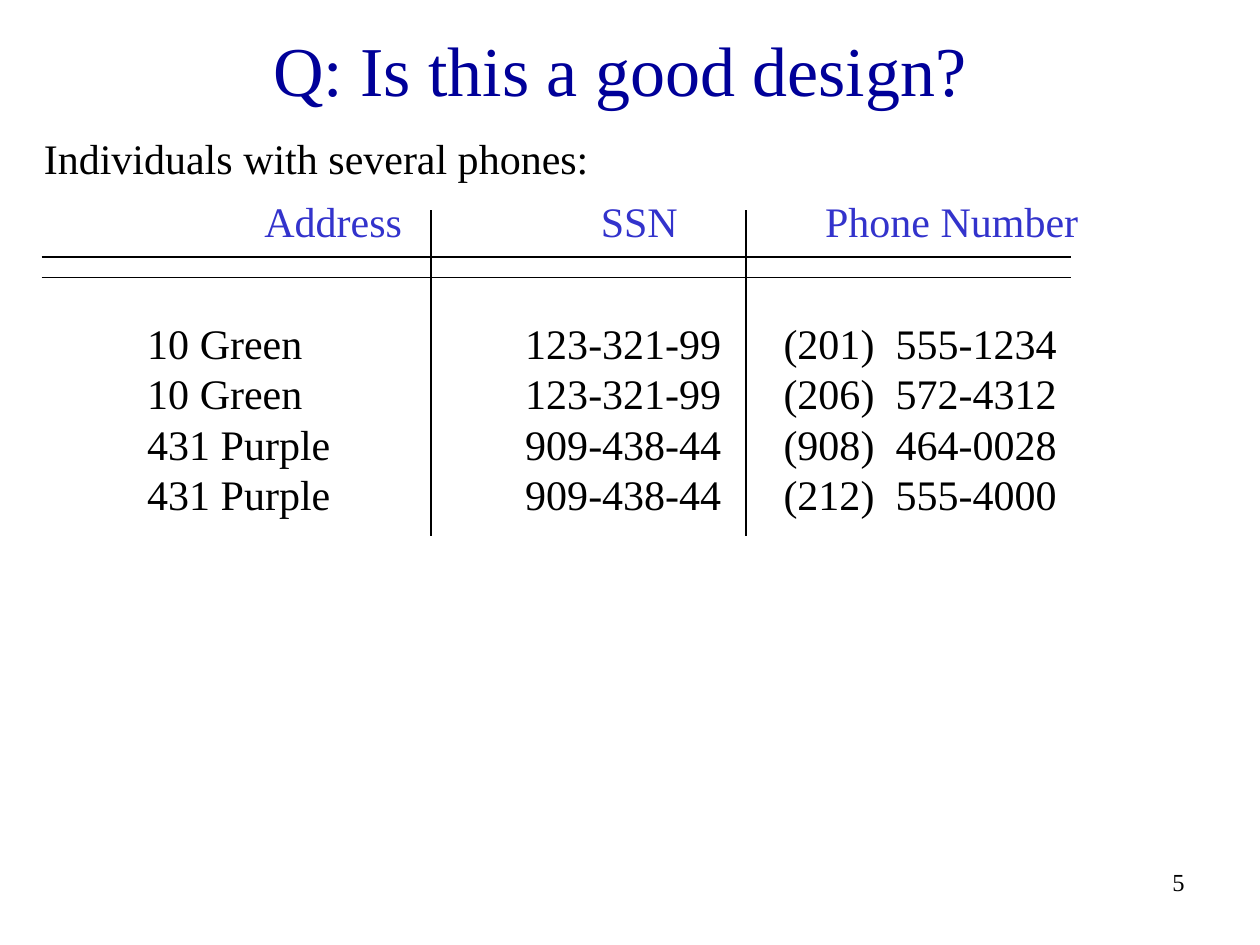
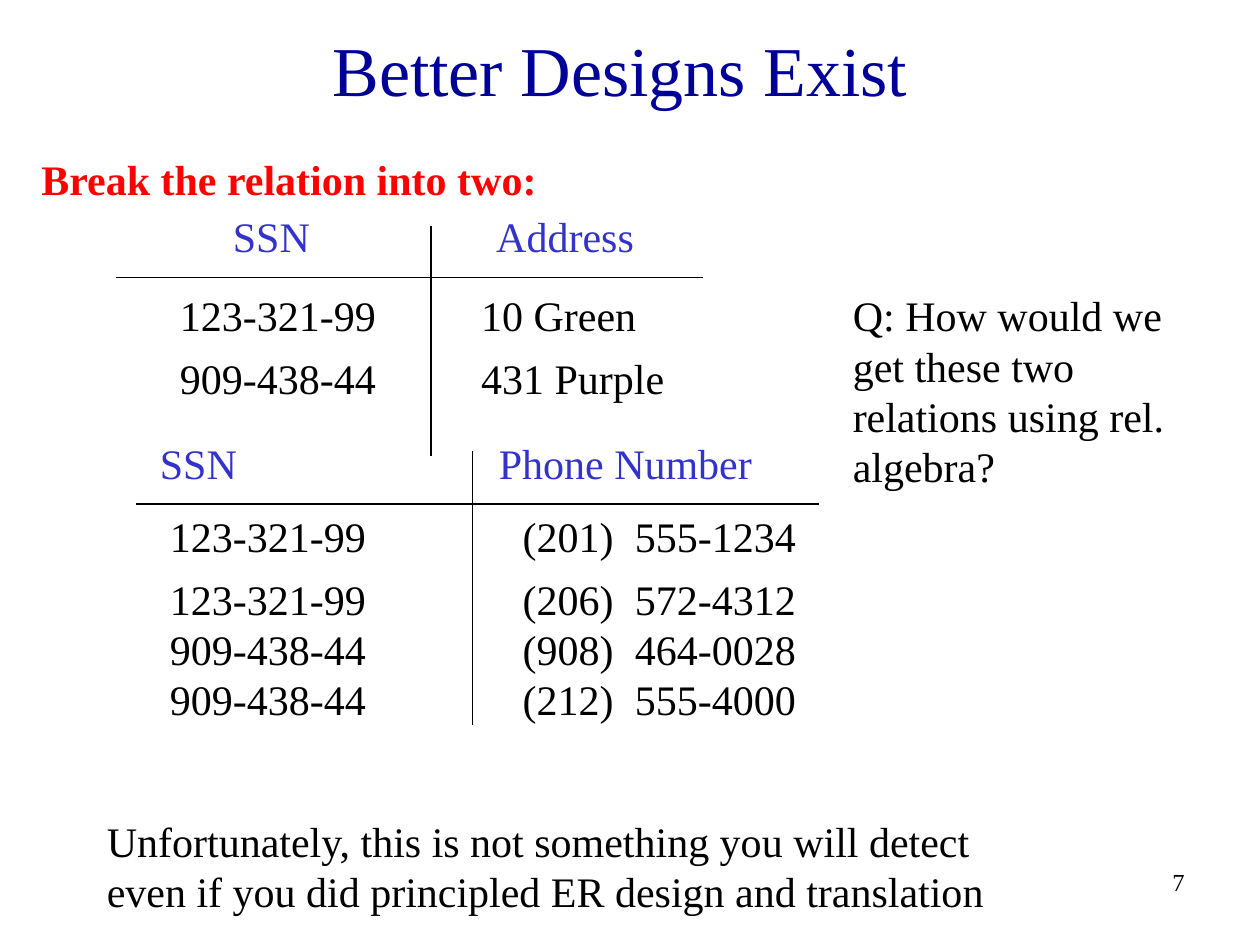
from pptx import Presentation
from pptx.dml.color import RGBColor
from pptx.enum.shapes import MSO_CONNECTOR
from pptx.enum.text import MSO_ANCHOR, PP_ALIGN
from pptx.oxml.ns import qn
from pptx.util import Inches, Pt
from lxml.etree import SubElement

FONT = "Times New Roman"
COLOURS = {
    "title": "000099",
    "heading": "3333CC",
    "body": "000000",
    "alert": "FF0000",
}

# Content: texts are (left, top, width, colour, tab stops, lines of cells),
# rules are (x1, y1, x2, y2); lengths in inches, tab stops from the text edge
SLIDES = [
    {
        "title": "Q: Is this a good design?",
        "number": "5",
        "texts": [
            (0.25, 1, 5, "body", [], [["Individuals with several phones:"]]),
            (2, 1.5, 7, "heading", [2.67, 4.45],
             [["Address", "SSN", "Phone Number"]]),
            (1.07, 2.47, 7.68, "body", [3, 5.05, 5.94], [
                ["10 Green", "123-321-99", "(201)", "555-1234"],
                ["10 Green", "123-321-99", "(206)", "572-4312"],
                ["431 Purple", "909-438-44", "(908)", "464-0028"],
                ["431 Purple", "909-438-44", "(212)", "555-4000"],
            ]),
        ],
        "rules": [
            (0.33, 2.04, 8.5, 2.04),
            (0.33, 2.2, 8.5, 2.2),
            (3.42, 1.67, 3.42, 4.25),
            (5.92, 1.67, 5.92, 4.25),
        ],
    },
    {
        "title": "Better Designs Exist",
        "number": "7",
        "texts": [
            (0.23, 1.17, 4.5, "alert", [], [["Break the relation into two:"]]),
            # Addresses by SSN
            (1.75, 1.62, 4, "heading", [2.09], [["SSN", "Address"]]),
            (1.33, 2.25, 4.5, "body", [2.39], [["123-321-99", "10 Green"]]),
            (1.33, 2.75, 4.5, "body", [2.39], [["909-438-44", "431 Purple"]]),
            # Phones by SSN
            (1.17, 3.42, 5.25, "heading", [2.69], [["SSN", "Phone Number"]]),
            (1.25, 4, 5.4, "body", [2.8, 3.69],
             [["123-321-99", "(201)", "555-1234"]]),
            (1.25, 4.5, 5.4, "body", [2.8, 3.69], [
                ["123-321-99", "(206)", "572-4312"],
                ["909-438-44", "(908)", "464-0028"],
                ["909-438-44", "(212)", "555-4000"],
            ]),
            # Remarks
            (0.75, 6.42, 7.17, "body", [],
             [["Unfortunately, this is not something you will detect even if "
               "you did principled ER design and translation"]]),
            (6.67, 2.25, 3, "body", [],
             [["Q: How would we get these two relations using rel. algebra?"]]),
        ],
        "rules": [
            (0.92, 2.2, 5.58, 2.2),
            (3.42, 1.79, 3.42, 3.62),
            (1.08, 4, 6.5, 4),
            (3.75, 3.58, 3.75, 5.75),
        ],
    },
]


def add_tab_stops(paragraph, stops):
    tab_list = SubElement(paragraph._p.get_or_add_pPr(), qn("a:tabLst"))
    for stop in stops:
        SubElement(tab_list, qn("a:tab"), pos=str(Inches(stop)), algn="l")


def add_text(slide, box, lines, colour, size=24, stops=(),
             align=PP_ALIGN.LEFT, anchor=MSO_ANCHOR.TOP, leading=None):
    frame = slide.shapes.add_textbox(*map(Inches, box)).text_frame
    frame.word_wrap = True
    frame.vertical_anchor = anchor
    frame.text = "\n".join("\t".join(cells) for cells in lines)
    for paragraph in frame.paragraphs:
        if stops:
            add_tab_stops(paragraph, stops)
        paragraph.alignment = align
        paragraph.line_spacing = leading
        for run in paragraph.runs:
            run.font.name = FONT
            run.font.size = Pt(size)
            run.font.bold = colour == "alert"
            run.font.color.rgb = RGBColor.from_string(COLOURS[colour])


def add_rule(slide, ends):
    rule = slide.shapes.add_connector(MSO_CONNECTOR.STRAIGHT, *map(Inches, ends))
    rule.line.color.rgb = RGBColor.from_string(COLOURS["body"])
    rule.line.width = Pt(0.75)
    SubElement(rule._element.spPr, qn("a:effectLst"))


def add_slide(deck, content):
    slide = deck.slides.add_slide(deck.slide_layouts[6])
    # Slide number and title
    add_text(slide, (7.42, 6.83, 2.08, 0.5), [[content["number"]]], "body",
             size=14, align=PP_ALIGN.RIGHT)
    add_text(slide, (0.17, 0.17, 9.5, 0.75), [[content["title"]]], "title",
             size=40, align=PP_ALIGN.CENTER, anchor=MSO_ANCHOR.MIDDLE)
    # Relations and remarks
    for left, top, width, colour, stops, lines in content["texts"]:
        height = 0.1 + 0.4 * len(lines)
        add_text(slide, (left, top, width, height), lines, colour,
                 stops=stops, leading=Pt(28.8))
    for ends in content["rules"]:
        add_rule(slide, ends)


def main():
    deck = Presentation()
    deck.slide_width, deck.slide_height = Inches(10), Inches(7.5)
    for content in SLIDES:
        add_slide(deck, content)
    deck.save("out.pptx")


if __name__ == "__main__":
    main()
